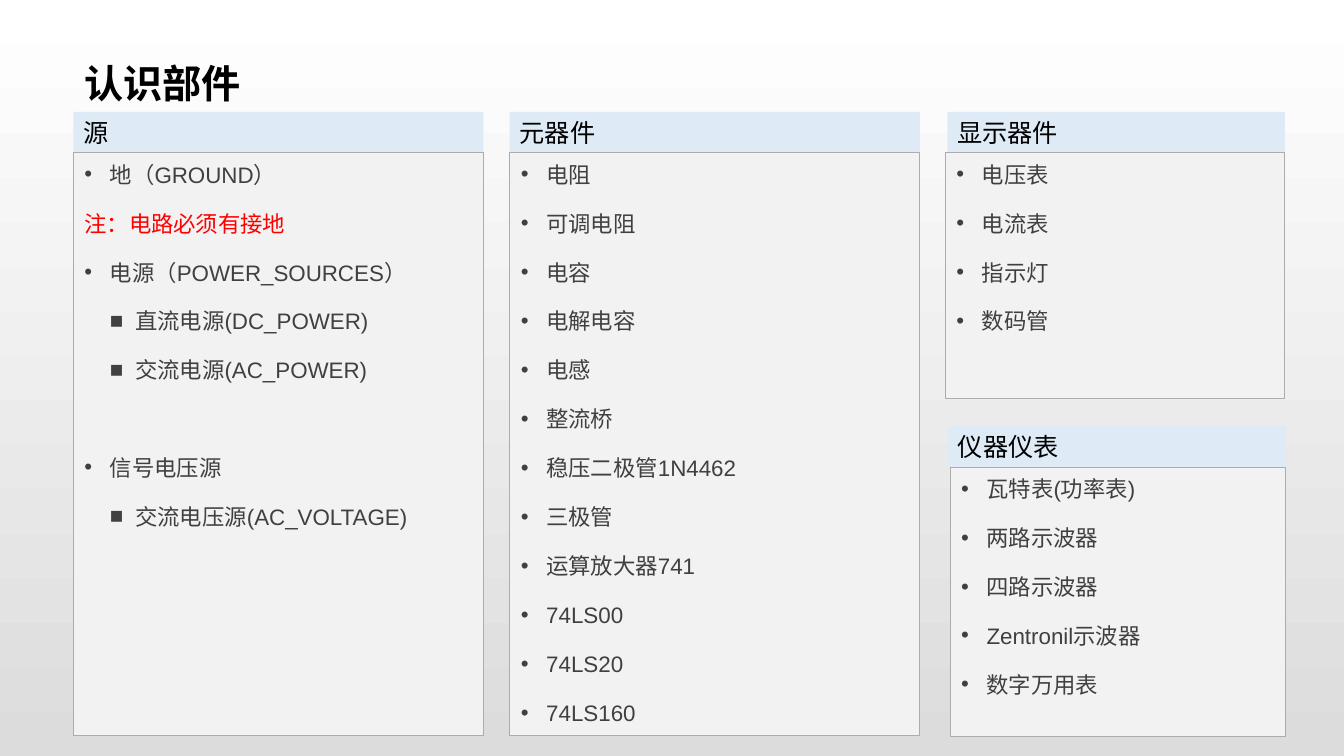
from dataclasses import dataclass
from enum import Enum

from lxml.etree import SubElement
from pptx import Presentation
from pptx.dml.color import RGBColor
from pptx.enum.shapes import MSO_SHAPE
from pptx.enum.text import MSO_ANCHOR, PP_ALIGN
from pptx.oxml.ns import qn
from pptx.shapes.autoshape import Shape
from pptx.slide import Slide
from pptx.text.text import TextFrame, _Paragraph
from pptx.util import Cm, Pt

FONT = "Arial"
BLACK, GREY, RED = "000000", "404040", "FF0000"
HEADER_FILL, BODY_FILL, BODY_LINE = "DEEBF7", "F2F2F2", "AFABAB"
HEADER_HEIGHT = 1.02
BODY_OFFSET = 1.03
INDENT = 0.64


class Kind(Enum):
    ITEM = "•"
    SUBITEM = "■"
    NOTE = ""


@dataclass(frozen=True)
class Entry:
    text: str
    kind: Kind = Kind.ITEM
    gap_before: float = 0


@dataclass(frozen=True)
class Panel:
    """A titled list; lengths in centimetres."""
    heading: str
    top: float
    heading_left: float
    heading_width: float
    body_left: float
    body_width: float
    body_height: float
    entries: list[Entry]


def items(*texts: str) -> list[Entry]:
    return [Entry(text) for text in texts]


PANELS = [
    Panel("源", 2.82, 1.85, 10.34, 1.85, 10.34, 14.68, [
        Entry("地（GROUND）"),
        Entry("注：电路必须有接地", Kind.NOTE),
        Entry("电源（POWER_SOURCES）"),
        Entry("直流电源(DC_POWER)", Kind.SUBITEM),
        Entry("交流电源(AC_POWER)", Kind.SUBITEM),
        Entry("信号电压源", gap_before=34.5),
        Entry("交流电压源(AC_VOLTAGE)", Kind.SUBITEM),
    ]),
    Panel("元器件", 2.82, 12.85, 10.34, 12.85, 10.34, 14.68, items(
        "电阻", "可调电阻", "电容", "电解电容", "电感", "整流桥",
        "稳压二极管1N4462", "三极管", "运算放大器741",
        "74LS00", "74LS20", "74LS160")),
    Panel("显示器件", 2.82, 23.88, 8.51, 23.83, 8.56, 6.2, items(
        "电压表", "电流表", "指示灯", "数码管")),
    Panel("仪器仪表", 10.74, 23.9, 8.51, 23.95, 8.46, 6.78, items(
        "瓦特表(功率表)", "两路示波器", "四路示波器",
        "Zentronil示波器", "数字万用表")),
]


def color(value: str) -> RGBColor:
    return RGBColor.from_string(value)


def set_margins(frame: TextFrame, left: float, top: float, right: float) -> None:
    frame.word_wrap = True
    frame.margin_left, frame.margin_right = Cm(left), Cm(right)
    frame.margin_top = frame.margin_bottom = Cm(top)


def add_run(paragraph: _Paragraph, text: str, size: float, ink: str,
            bold: bool = False) -> None:
    paragraph.alignment = PP_ALIGN.LEFT
    run = paragraph.add_run()
    run.text = text
    run.font.name = FONT
    run.font.size = Pt(size)
    run.font.bold = bold
    run.font.color.rgb = color(ink)


def add_bullet(paragraph: _Paragraph, kind: Kind) -> None:
    level = 1 if kind is Kind.SUBITEM else 0
    paragraph.level = level
    properties = paragraph._p.get_or_add_pPr()
    properties.set("marL", str(Cm(INDENT * (level + 1))))
    properties.set("indent", str(Cm(-INDENT)))
    if kind is Kind.NOTE:
        SubElement(properties, qn("a:buNone"))
        return
    bullet_color = SubElement(properties, qn("a:buClr"))
    SubElement(bullet_color, qn("a:srgbClr"), val=GREY)
    SubElement(properties, qn("a:buFont"), typeface=FONT)
    SubElement(properties, qn("a:buChar"), char=kind.value)


def add_rectangle(slide: Slide, left: float, top: float, width: float,
                  height: float, fill: str) -> Shape:
    rectangle = slide.shapes.add_shape(
        MSO_SHAPE.RECTANGLE, Cm(left), Cm(top), Cm(width), Cm(height))
    rectangle.shadow.inherit = False
    rectangle.fill.solid()
    rectangle.fill.fore_color.rgb = color(fill)
    rectangle.line.fill.background()
    rectangle.text_frame.vertical_anchor = MSO_ANCHOR.TOP
    return rectangle


def add_panel(slide: Slide, panel: Panel) -> None:
    header = add_rectangle(slide, panel.heading_left, panel.top,
                           panel.heading_width, HEADER_HEIGHT, HEADER_FILL)
    set_margins(header.text_frame, 0.25, 0.13, 0.25)
    add_run(header.text_frame.paragraphs[0], panel.heading, 18, BLACK)

    body = add_rectangle(slide, panel.body_left, panel.top + BODY_OFFSET,
                         panel.body_width, panel.body_height, BODY_FILL)
    body.line.color.rgb = color(BODY_LINE)
    body.line.width = Pt(0.75)
    frame = body.text_frame
    set_margins(frame, 0.28, 0, 0.23)
    for index, entry in enumerate(panel.entries):
        paragraph = frame.add_paragraph() if index else frame.paragraphs[0]
        add_bullet(paragraph, entry.kind)
        paragraph.line_spacing = 1.3
        paragraph.space_before = Pt(entry.gap_before)
        paragraph.space_after = Pt(10)
        add_run(paragraph, entry.text, 16, RED if entry.kind is Kind.NOTE else GREY)


def add_title(slide: Slide, text: str) -> None:
    title = slide.shapes.add_textbox(Cm(1.85), Cm(1.19), Cm(30.15), Cm(1.8))
    set_margins(title.text_frame, 0.28, 0.1, 0.2)
    title.text_frame.vertical_anchor = MSO_ANCHOR.MIDDLE
    add_run(title.text_frame.paragraphs[0], text, 28, BLACK, bold=True)


def set_background(slide: Slide, top: str, bottom: str) -> None:
    fill = slide.background.fill
    fill.gradient()
    fill.gradient_angle = 270
    for stop, shade in zip(fill.gradient_stops, (top, bottom)):
        stop.color.rgb = color(shade)


def main() -> None:
    presentation = Presentation()
    presentation.slide_width, presentation.slide_height = Cm(33.88), Cm(19.05)
    slide = presentation.slides.add_slide(presentation.slide_layouts[6])
    set_background(slide, "FFFFFF", "DCDCDC")
    add_title(slide, "认识部件")
    for panel in PANELS:
        add_panel(slide, panel)
    presentation.save("out.pptx")


if __name__ == "__main__":
    main()
